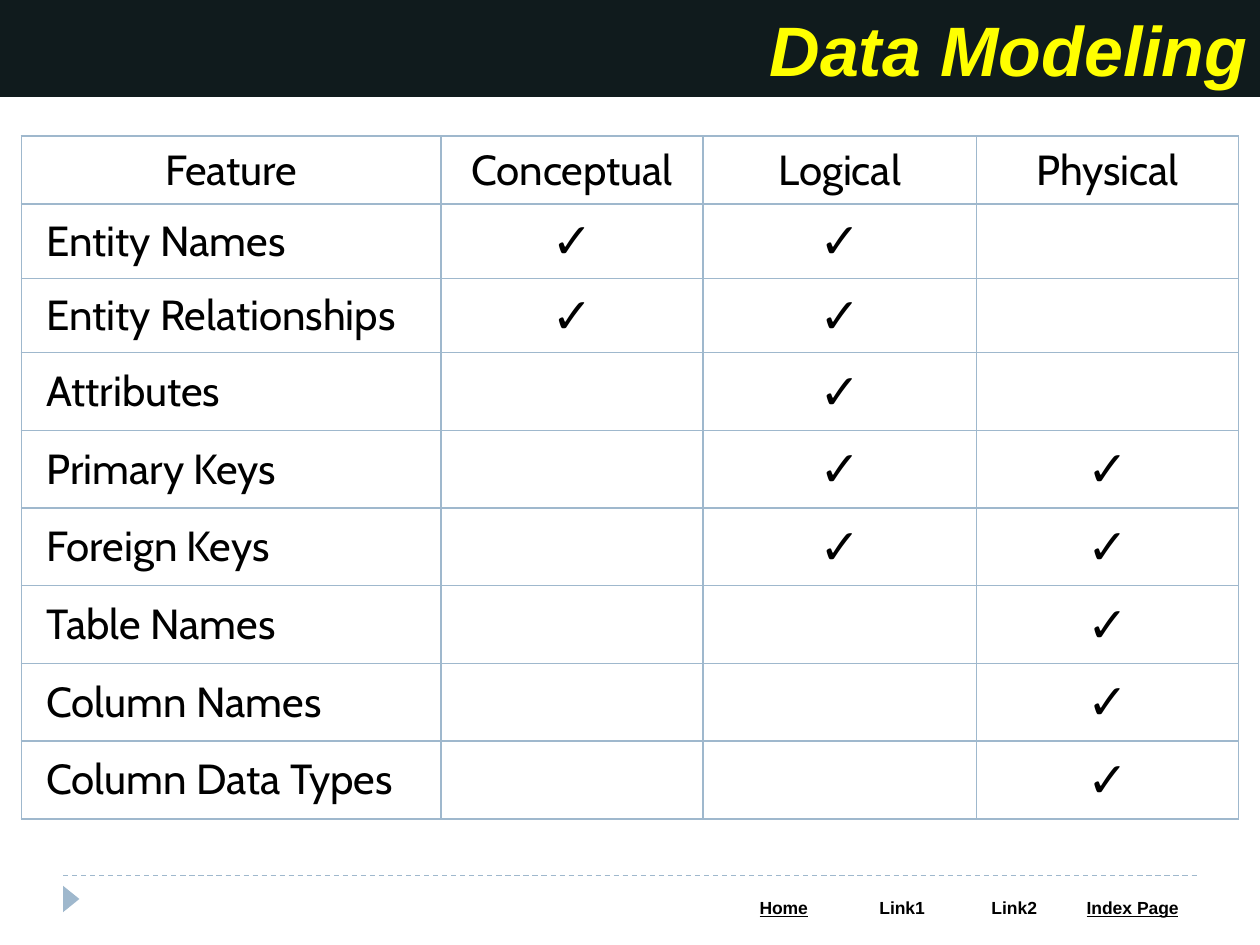
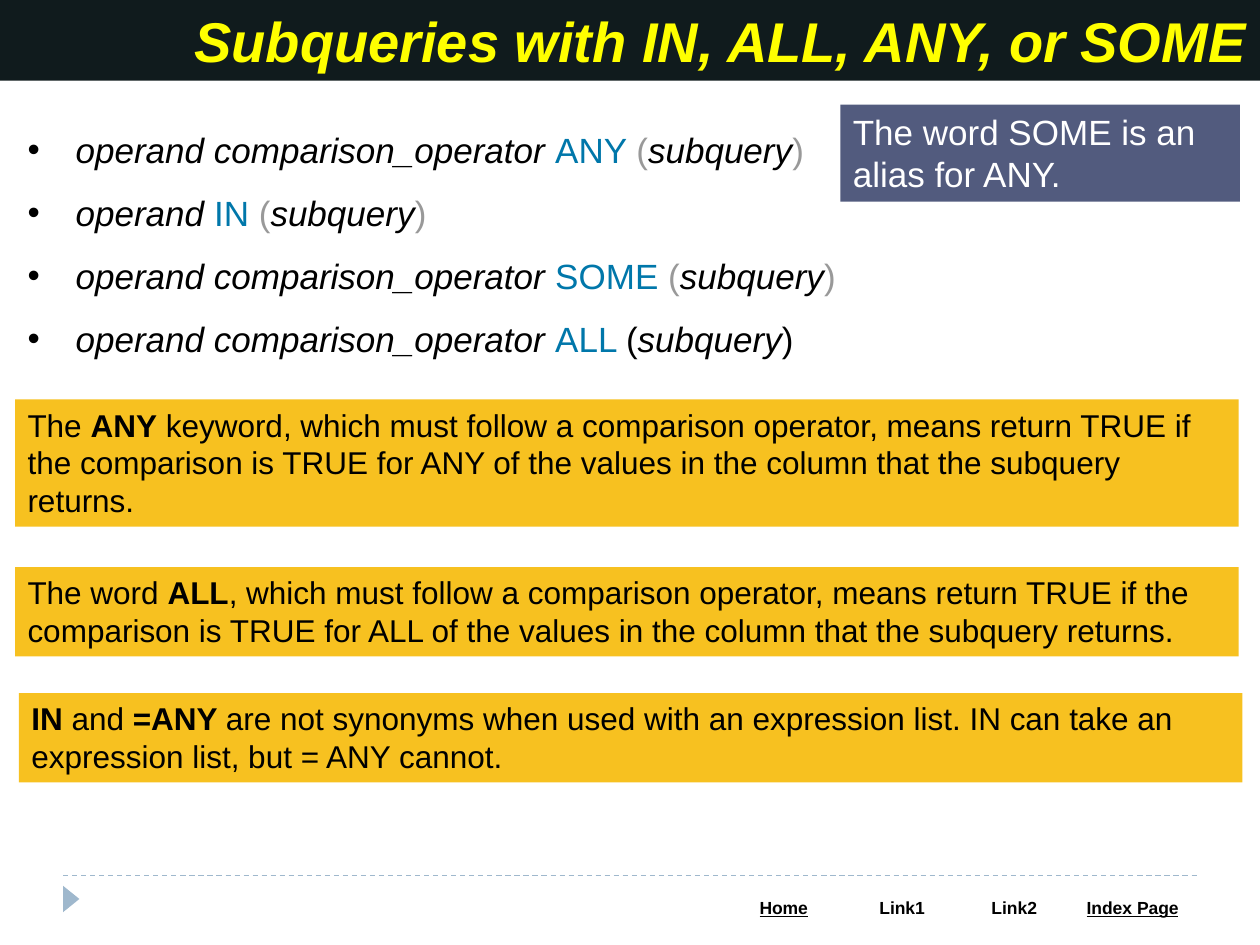
import pptx
import pptx.dml.color
import pptx.enum.dml
import pptx.enum.shapes
import pptx.enum.text
import pptx.oxml.ns
import pptx.util
from dataclasses import dataclass
from typing import NamedTuple
from lxml import etree

Inches = pptx.util.Inches
Pt = pptx.util.Pt
qn = pptx.oxml.ns.qn
ALIGN = pptx.enum.text.PP_ALIGN
ANCHOR = pptx.enum.text.MSO_ANCHOR
SHAPE = pptx.enum.shapes.MSO_SHAPE

BAND, TITLE = "101B1D", "FFFF00"
RULE, AMBER, SLATE = "9FB8CD", "F7C120", "525B7E"
BLACK, WHITE, KEYWORD, PAREN = "000000", "FFFFFF", "0077AA", "999999"


class Run(NamedTuple):
    text: str
    color: str = BLACK
    bold: bool = False
    italic: bool = False
    underline: bool = False


@dataclass
class Note:
    left: float
    top: float
    width: float
    height: float
    fill: str
    size: float
    runs: list[Run]


class Feature(NamedTuple):
    name: str
    models: tuple[str, ...]


class Syntax(NamedTuple):
    operand: str
    keyword: str
    paren: str = PAREN


MODELS = ("Conceptual", "Logical", "Physical")
FEATURES = [
    Feature("Entity Names", MODELS[:2]),
    Feature("Entity Relationships", MODELS[:2]),
    Feature("Attributes", MODELS[1:2]),
    Feature("Primary Keys", MODELS[1:]),
    Feature("Foreign Keys", MODELS[1:]),
    Feature("Table Names", MODELS[2:]),
    Feature("Column Names", MODELS[2:]),
    Feature("Column Data Types", MODELS[2:]),
]
FOOTER_LINKS = [
    Run("Home", bold=True, underline=True),
    Run("Link1", bold=True),
    Run("Link2", bold=True),
    Run("Index Page", bold=True, underline=True),
]
SYNTAXES = [
    Syntax("operand comparison_operator ", "ANY"),
    Syntax("operand ", "IN"),
    Syntax("operand comparison_operator ", "SOME"),
    Syntax("operand comparison_operator ", "ALL", BLACK),
]
NOTES = [
    Note(6.67, 0.83, 3.17, 0.77, SLATE, 20, [
        Run("The word SOME is an alias for ANY.", WHITE)]),
    Note(0.12, 3.17, 9.71, 1.01, AMBER, 18, [
        Run("The "), Run("ANY", bold=True),
        Run(" keyword, which must follow a comparison operator, means return TRUE if "
            "the comparison is TRUE for ANY of the values in the column that the "
            "subquery returns.")]),
    Note(0.12, 4.5, 9.71, 0.71, AMBER, 18, [
        Run("The word "), Run("ALL", bold=True),
        Run(", which must follow a comparison operator, means return TRUE if the "
            "comparison is TRUE for ALL of the values in the column that the "
            "subquery returns.")]),
    Note(0.15, 5.5, 9.71, 0.71, AMBER, 18, [
        Run("IN", bold=True), Run(" and "), Run("=ANY ", bold=True),
        Run("are not synonyms when used with an expression list. IN can take an "
            "expression list, but = ANY cannot.")]),
]


def rgb(value: str) -> pptx.dml.color.RGBColor:
    return pptx.dml.color.RGBColor.from_string(value)


def paint(target, color: str) -> None:
    target.fill.solid()
    target.fill.fore_color.rgb = rgb(color)


def write(p, runs: list[Run], size: float, font: str = "Arial") -> None:
    for run in runs:
        r = p.add_run()
        r.text = run.text
        r.font.name, r.font.size = font, Pt(size)
        r.font.bold, r.font.italic, r.font.underline = run.bold, run.italic, run.underline
        r.font.color.rgb = rgb(run.color)


def place(sp, left: float, top: float, width: float, height: float) -> None:
    sp.left, sp.top = Inches(left), Inches(top)
    sp.width, sp.height = Inches(width), Inches(height)


def frame(sp):
    tf = sp.text_frame
    tf.word_wrap = True
    tf.auto_size = pptx.enum.text.MSO_AUTO_SIZE.NONE
    tf.vertical_anchor = ANCHOR.TOP
    tf.margin_left = tf.margin_right = Inches(0.1)
    tf.margin_top = tf.margin_bottom = Inches(0.05)
    return tf


def add_border(cell, sides: str, color: str, width: float) -> None:
    tcPr = cell._tc.get_or_add_tcPr()
    for side in sides:
        ln = etree.SubElement(tcPr, qn(f"a:ln{side}"), w=str(Pt(width)))
        fill = etree.SubElement(ln, qn("a:solidFill"))
        etree.SubElement(fill, qn("a:srgbClr"), val=color)


def add_grid(s, left: float, top: float, widths: list[float], heights: list[float]):
    gf = s.shapes.add_table(len(heights), len(widths), Inches(left), Inches(top),
                            Inches(sum(widths)), Inches(sum(heights)))
    table = gf.table
    table.first_row = table.horz_banding = False
    for column, width in zip(table.columns, widths):
        column.width = Inches(width)
    for row, height in zip(table.rows, heights):
        row.height = Inches(height)
    return table


def add_footer(s) -> None:
    sp = s.shapes.add_shape(SHAPE.ISOSCELES_TRIANGLE, Inches(0.46), Inches(7.07),
                            Inches(0.21), Inches(0.13))
    sp.rotation = 90
    sp.shadow.inherit = False
    paint(sp, RULE)
    sp.line.fill.background()
    line = s.shapes.add_connector(pptx.enum.shapes.MSO_CONNECTOR.STRAIGHT, Inches(0.5),
                                  Inches(6.95), Inches(9.5), Inches(6.95))
    line.line.color.rgb = rgb(RULE)
    line.line.width = Pt(0.75)
    line.line.dash_style = pptx.enum.dml.MSO_LINE.DASH
    etree.SubElement(line._element.spPr, qn("a:effectLst"))
    table = add_grid(s, 5.75, 7.08, [0.94, 0.94, 0.84, 1.04], [0.27])
    for cell, link in zip(table.rows[0].cells, FOOTER_LINKS):
        add_border(cell, "LRT", WHITE, 1)
        add_border(cell, "B", WHITE, 3)
        paint(cell, WHITE)
        p = cell.text_frame.paragraphs[0]
        p.alignment = ALIGN.CENTER
        write(p, [link], 10)


def add_slide(prs, layout: int, title: str, height: float, size: float):
    s = prs.slides.add_slide(prs.slide_layouts[layout])
    add_footer(s)
    sp = s.shapes.title
    place(sp, 0, 0, 10, height)
    paint(sp, BAND)
    p = frame(sp).paragraphs[0]
    p.alignment = ALIGN.RIGHT
    write(p, [Run(title, TITLE, bold=True, italic=True)], size)
    return s


def add_note(s, note: Note) -> None:
    sp = s.shapes.add_shape(SHAPE.RECTANGLE, Inches(note.left), Inches(note.top),
                            Inches(note.width), Inches(note.height))
    sp.shadow.inherit = False
    paint(sp, note.fill)
    sp.line.fill.background()
    p = frame(sp).paragraphs[0]
    p.alignment = ALIGN.LEFT
    write(p, note.runs, note.size)


def add_syntax(p, syntax: Syntax) -> None:
    pPr = p._p.get_or_add_pPr()
    pPr.set("marL", str(Inches(0.38)))
    pPr.set("indent", str(-Inches(0.38)))
    etree.SubElement(pPr, qn("a:buFont"), typeface="Arial")
    etree.SubElement(pPr, qn("a:buChar"), char="•")
    p.line_spacing = 1.5
    p.space_before = Pt(0)
    write(p, [Run(syntax.operand, italic=True), Run(syntax.keyword + " ", KEYWORD),
              Run("(", syntax.paren), Run("subquery", italic=True),
              Run(")", syntax.paren)], 20)


def build_modeling(prs) -> None:
    s = add_slide(prs, 5, "Data Modeling", 0.77, 40)
    heights = [0.54, 0.59, 0.59] + [3.7 / 6] * 6
    table = add_grid(s, 0.17, 1.08, [3.33, 2.08, 2.17, 2.08], heights)
    rows = [("Feature", *MODELS)]
    rows += [(f.name, *("✓" if m in f.models else "" for m in MODELS)) for f in FEATURES]
    for i, texts in enumerate(rows):
        for j, text in enumerate(texts):
            cell = table.cell(i, j)
            add_border(cell, "LRTB", RULE, 1)
            cell.fill.background()
            if not text:
                continue
            cell.vertical_anchor = ANCHOR.MIDDLE
            cell.margin_left = cell.margin_right = Inches(0.01)
            cell.margin_top = cell.margin_bottom = Inches(0.01)
            p = cell.text_frame.paragraphs[0]
            if i and j == 0:
                p._p.get_or_add_pPr().set("indent", str(Inches(0.19)))
            else:
                p.alignment = ALIGN.CENTER
            write(p, [Run(text)], 28 if text == "✓" else 24, "Cabin")


def build_subqueries(prs) -> None:
    s = add_slide(prs, 1, "Subqueries with IN, ALL, ANY, or SOME", 0.64, 32)
    body = s.placeholders[1]
    place(body, 0.12, 0.8, 9.71, 2.12)
    tf = frame(body)
    for i, syntax in enumerate(SYNTAXES):
        add_syntax(tf.add_paragraph() if i else tf.paragraphs[0], syntax)
    for note in NOTES:
        add_note(s, note)


def main() -> None:
    prs = pptx.Presentation()
    prs.slide_width, prs.slide_height = Inches(10), Inches(7.5)
    build_modeling(prs)
    build_subqueries(prs)
    prs.save("out.pptx")


if __name__ == "__main__":
    main()
